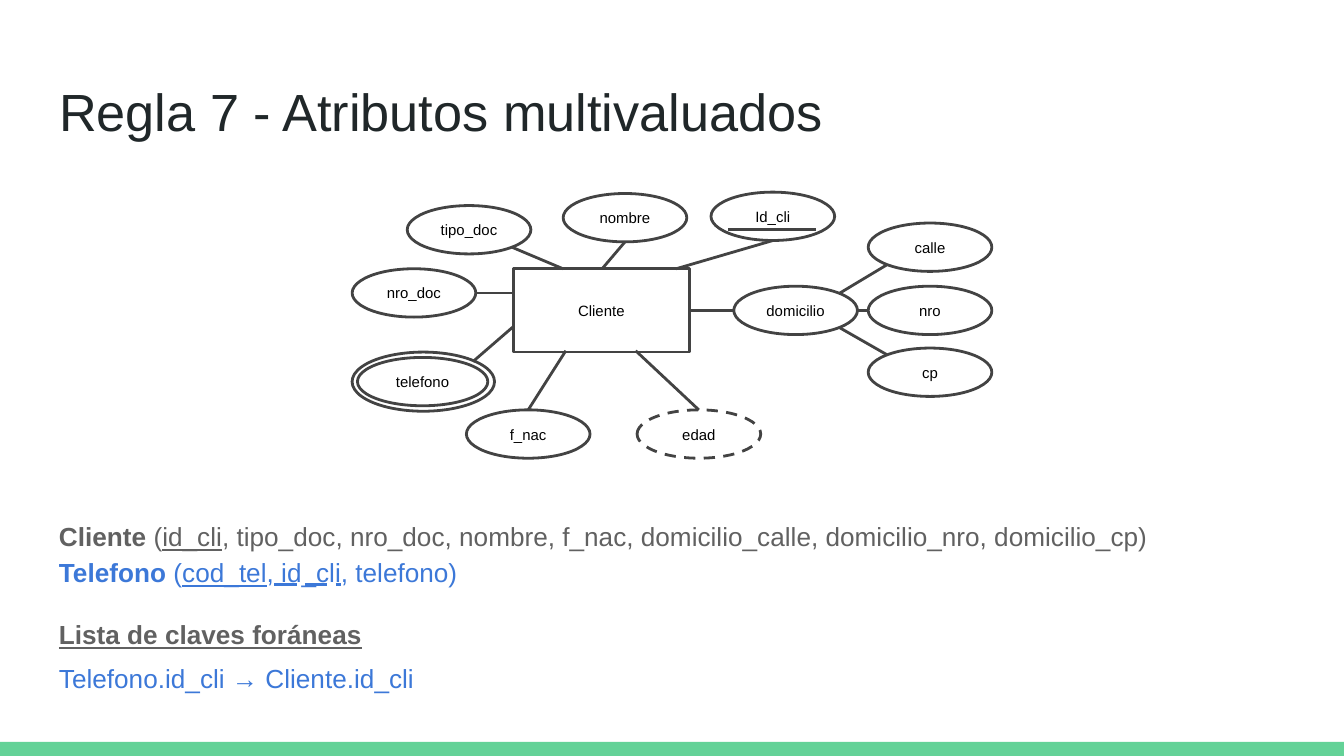
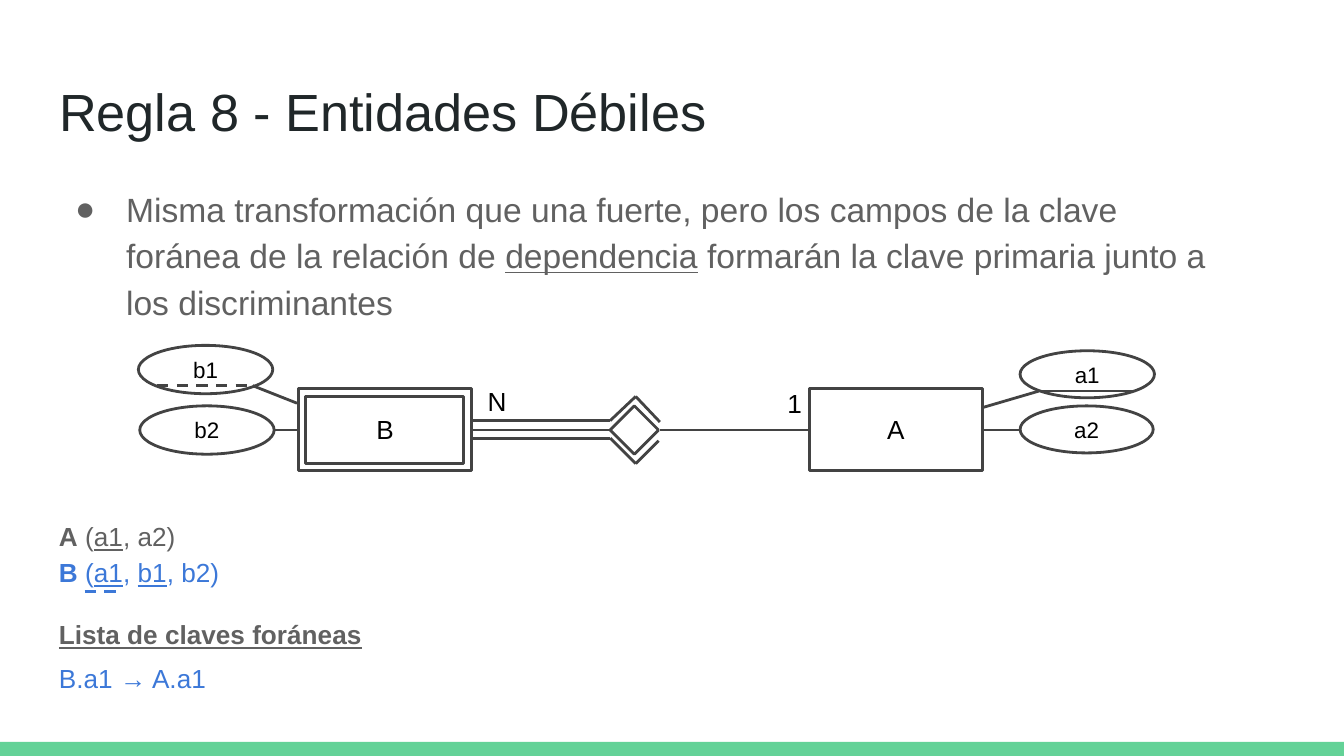
from lxml import etree
from pptx import Presentation
from pptx.dml.color import RGBColor
from pptx.enum.dml import MSO_LINE
from pptx.enum.shapes import MSO_CONNECTOR, MSO_SHAPE
from pptx.enum.text import MSO_ANCHOR, MSO_AUTO_SIZE, PP_ALIGN
from pptx.oxml.ns import qn
from pptx.util import Inches, Pt

FONT = "Arial"
COLORS = {
    "band": "63D297",
    "title": "202729",
    "body": "616161",
    "key": "3C78D8",
    "line": "434343",
    "label": "000000",
}
OVAL, RECT, DIAMOND = MSO_SHAPE.OVAL, MSO_SHAPE.RECTANGLE, MSO_SHAPE.FLOWCHART_DECISION
STRAIGHT = MSO_CONNECTOR.STRAIGHT
DASH, LONG_DASH = MSO_LINE.DASH, MSO_LINE.LONG_DASH
LEFT, CENTER = PP_ALIGN.LEFT, PP_ALIGN.CENTER
TOP, MIDDLE = MSO_ANCHOR.TOP, MSO_ANCHOR.MIDDLE
NO_AUTOFIT = MSO_AUTO_SIZE.NONE


def rgb(name):
    return RGBColor.from_string(COLORS[name])


def inches(*values):
    return [Inches(v) for v in values]


# Text
def set_frame(tf, anchor=TOP, wrap=True):
    tf.auto_size = NO_AUTOFIT
    tf.word_wrap = wrap
    tf.vertical_anchor = anchor
    tf.margin_left = tf.margin_right = tf.margin_top = tf.margin_bottom = Inches(0.1)


def style_run(r, size, color, marks=""):
    r.font.name = FONT
    r.font.size = Pt(size)
    r.font.color.rgb = rgb(color)
    r.font.bold = "b" in marks
    r.font.underline = "u" in marks


def add_runs(p, size, color, runs):
    """Add (text, marks) runs, where marks holds b for bold and u for underline."""
    for text, marks in runs:
        r = p.add_run()
        r.text = text
        style_run(r, size, color, marks)


def add_break(p, size):
    p.add_line_break()
    br = p._p.findall(qn("a:br"))[-1]
    etree.SubElement(br, qn("a:rPr"), sz=str(size * 100))


def add_bullet(p, char, color, margin, indent):
    pPr = p._p.get_or_add_pPr()
    pPr.set("marL", str(Inches(margin)))
    pPr.set("indent", str(Inches(indent)))
    buClr = etree.SubElement(pPr, qn("a:buClr"))
    etree.SubElement(buClr, qn("a:srgbClr"), val=COLORS[color])
    etree.SubElement(pPr, qn("a:buFont"), typeface=FONT)
    etree.SubElement(pPr, qn("a:buChar"), char=char)


def add_body(slide, top, width=9.32):
    box = slide.shapes.add_textbox(*inches(0.34, top, width, 0.55))
    set_frame(box.text_frame)
    p = box.text_frame.paragraphs[0]
    p.line_spacing = 1.15
    return p


# Diagram elements
def add_figure(shapes, kind, left, top, width, height, label="", size=8, dash=None):
    sp = shapes.add_shape(kind, *inches(left, top, width, height))
    sp.shadow.inherit = False
    sp.fill.background()
    sp.line.color.rgb = rgb("line")
    sp.line.width = Pt(1.5)
    if dash:
        sp.line.dash_style = dash
    if label:
        set_frame(sp.text_frame, MIDDLE, wrap=False)
        p = sp.text_frame.paragraphs[0]
        p.alignment = CENTER
        add_runs(p, size, "label", [(label, "")])


def add_line(shapes, x1, y1, x2, y2, color="line", dash=None):
    line = shapes.add_connector(STRAIGHT, *inches(x1, y1, x2, y2))
    line.line.color.rgb = rgb(color)
    line.line.width = Pt(1.5)
    if dash:
        line.line.dash_style = dash
    etree.SubElement(line._element.spPr, qn("a:effectLst"))


def add_cardinality(shapes, left, top, text):
    box = shapes.add_textbox(*inches(left, top, 0.23, 0.36))
    set_frame(box.text_frame)
    add_runs(box.text_frame.paragraphs[0], 14, "label", [(text, "")])


# Parts shared by the slides
def add_rule_slide(prs, title):
    slide = prs.slides.add_slide(prs.slide_layouts[5])
    band = slide.shapes.add_shape(RECT, *inches(0, 5.52, 10, 0.11))
    band.shadow.inherit = False
    band.fill.solid()
    band.fill.fore_color.rgb = rgb("band")
    band.line.fill.background()

    sp = slide.shapes.title
    sp.left, sp.top, sp.width, sp.height = inches(0.34, 0.49, 9.32, 0.63)
    tf = sp.text_frame
    tf.text = title
    set_frame(tf)
    tf.paragraphs[0].alignment = LEFT
    style_run(tf.paragraphs[0].runs[0], 28, "title")
    return slide


def add_schema(slide, strong, derived, foreign_key):
    p = add_body(slide, 3.74)
    add_runs(p, 14, "body", strong)
    add_break(p, 14)
    add_runs(p, 14, "key", derived)
    add_runs(add_body(slide, 4.47), 14, "body", [("Lista de claves foráneas", "bu")])
    add_runs(add_body(slide, 4.79), 14, "key", [(foreign_key, "")])


def build_multivalued(prs):
    slide = add_rule_slide(prs, "Regla 7 - Atributos multivaluados")
    shapes = slide.shapes.add_group_shape().shapes

    # Entity and its attributes
    add_figure(shapes, RECT, 3.82, 2, 1.31, 0.62, "Cliente")
    attributes = [
        ("tipo_doc", 3.03, 1.53), ("nro_doc", 2.62, 2), ("nombre", 4.19, 1.44),
        ("Id_cli", 5.29, 1.43), ("f_nac", 3.47, 3.05), ("domicilio", 5.46, 2.13),
        ("calle", 6.46, 1.66), ("nro", 6.46, 2.13), ("cp", 6.46, 2.59),
    ]
    for label, left, top in attributes:
        add_figure(shapes, OVAL, left, top, 0.92, 0.36, label)
    add_figure(shapes, OVAL, 4.74, 3.05, 0.92, 0.36, "edad", dash=DASH)
    add_figure(shapes, OVAL, 2.62, 2.62, 1.06, 0.44)
    add_figure(shapes, OVAL, 2.66, 2.66, 0.97, 0.36, "telefono")

    # Links, and the underline of the key
    for ends in [
        (3.81, 1.84, 4.19, 2), (3.54, 2.18, 3.82, 2.18), (4.65, 1.8, 4.48, 2),
        (5.75, 1.79, 5.03, 2), (3.82, 2.43, 3.52, 2.69), (3.93, 3.05, 4.21, 2.61),
        (5.2, 3.05, 4.73, 2.61), (5.13, 2.31, 5.46, 2.31), (6.25, 2.18, 6.6, 1.97),
        (6.38, 2.31, 6.46, 2.31), (6.25, 2.44, 6.6, 2.64), (5.42, 1.71, 6.07, 1.71),
    ]:
        add_line(shapes, *ends)

    add_schema(
        slide,
        [("Cliente", "b"), (" (", ""), ("id_cli", "u"),
         (", tipo_doc, nro_doc, nombre, f_nac, domicilio_calle, domicilio_nro, domicilio_cp)", "")],
        [("Telefono", "b"), (" (", ""), ("cod_tel", "u"), (", id_cli, telefono)", "")],
        "Telefono.id_cli → Cliente.id_cli",
    )
    add_line(slide.shapes, 2.04, 4.35, 2.54, 4.35, "key", LONG_DASH)


def build_weak_entities(prs):
    slide = add_rule_slide(prs, "Regla 8 - Entidades Débiles")
    p = add_body(slide, 1.26, 8.93)
    add_bullet(p, "●", "body", 0.5, -0.38)
    add_runs(p, 18, "body", [
        ("Misma transformación que una fuerte, pero los campos de la clave foránea "
         "de la relación de ", ""),
        ("dependencia", "u"),
        (" formarán la clave primaria junto a los discriminantes", ""),
    ])
    shapes = slide.shapes.add_group_shape().shapes

    # Entities, attributes and relationship
    for label, left in [("B", 2.22), ("A", 6.02)]:
        add_figure(shapes, RECT, left, 2.89, 1.29, 0.61, label, 14)
    add_figure(shapes, RECT, 2.27, 2.95, 1.18, 0.5)
    for label, left, top, width, height in [
        ("b1", 1.03, 2.57, 1, 0.36), ("b2", 1.04, 3.02, 1, 0.36),
        ("a1", 7.59, 2.61, 1, 0.35), ("a2", 7.59, 3.02, 0.99, 0.35),
    ]:
        add_figure(shapes, OVAL, left, top, width, height, label, 12)
    add_figure(shapes, DIAMOND, 4.54, 3.02, 0.36, 0.36)
    add_cardinality(shapes, 3.53, 2.77, "N")
    add_cardinality(shapes, 5.76, 2.78, "1")

    # Triple link on the weak side, with the outer edges of the diamond
    for y in (3.13, 3.2, 3.26):
        add_line(shapes, 3.51, y, 4.54, y)
    for ends in [
        (4.54, 3.13, 4.73, 2.95), (4.73, 2.95, 4.91, 3.14),
        (4.54, 3.26, 4.73, 3.45), (4.73, 3.45, 4.9, 3.28),
    ]:
        add_line(shapes, *ends)

    # Other links, and the underlines of the key and the discriminant
    for ends in [
        (4.91, 3.2, 6.02, 3.2), (1.88, 2.87, 2.21, 3), (2.04, 3.2, 2.22, 3.2),
        (7.32, 3.03, 7.73, 2.91), (7.31, 3.2, 7.59, 3.2), (7.73, 2.91, 8.44, 2.91),
    ]:
        add_line(shapes, *ends)
    add_line(shapes, 1.17, 2.87, 1.88, 2.87, dash=DASH)

    add_schema(
        slide,
        [("A", "b"), (" (", ""), ("a1", "u"), (", a2)", "")],
        [("B", "b"), (" (", ""), ("a1", "u"), (", ", ""), ("b1", "u"), (", b2)", "")],
        "B.a1 → A.a1",
    )
    add_line(slide.shapes, 0.63, 4.4, 0.92, 4.4, "key", DASH)


def main():
    prs = Presentation()
    # Widescreen, 16:9
    prs.slide_width = Inches(10)
    prs.slide_height = prs.slide_width * 9 // 16
    build_multivalued(prs)
    build_weak_entities(prs)
    prs.save("out.pptx")


if __name__ == "__main__":
    main()
